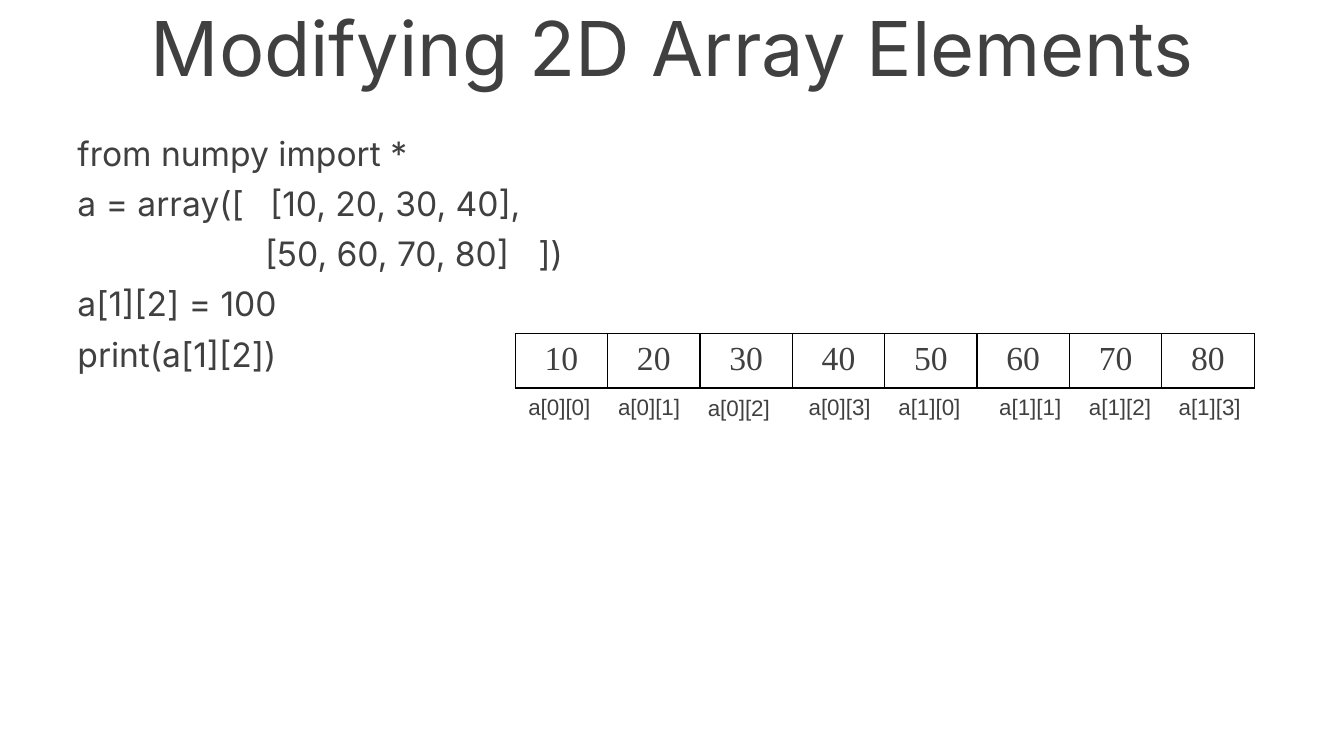
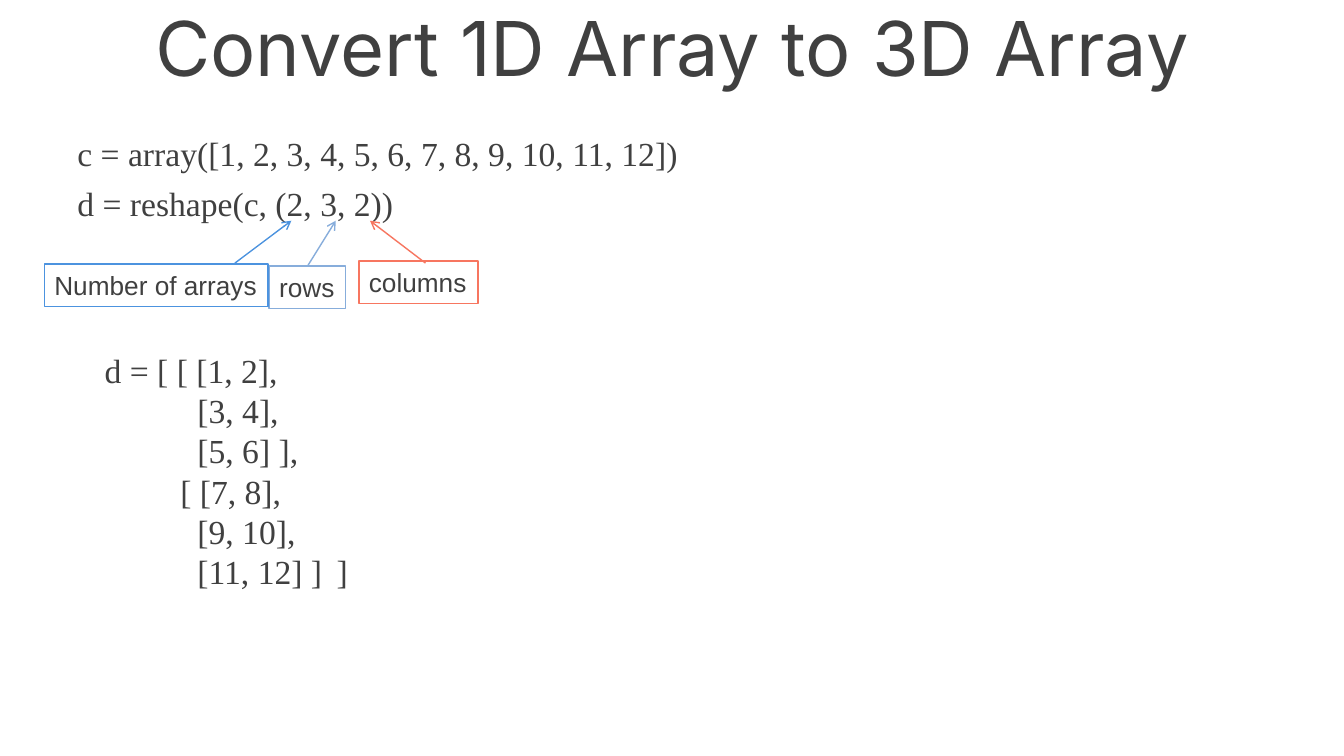
from dataclasses import dataclass

from lxml import etree
from pptx import Presentation
from pptx.dml.color import RGBColor
from pptx.enum.shapes import MSO_CONNECTOR, MSO_SHAPE
from pptx.enum.text import MSO_ANCHOR, MSO_AUTO_SIZE, PP_ALIGN
from pptx.oxml.ns import qn
from pptx.util import Inches, Pt

STRAIGHT = MSO_CONNECTOR.STRAIGHT
RECTANGLE = MSO_SHAPE.RECTANGLE
TOP = MSO_ANCHOR.TOP
FIT_SHAPE = MSO_AUTO_SIZE.SHAPE_TO_FIT_TEXT
NO_FIT = MSO_AUTO_SIZE.NONE
LEFT, CENTER = PP_ALIGN.LEFT, PP_ALIGN.CENTER
TOP_SIDE = 0
PLAIN_TABLE_STYLE = "{2D5ABB26-0587-4C30-8999-92F81FD0307C}"


@dataclass(frozen=True)
class Theme:
    """Colours, fonts and type sizes shared by the slides."""
    ink: str = "404040"
    paper: str = "FFFFFF"
    grid: str = "000000"
    arrays: str = "4C93DF"
    rows: str = "87ADDB"
    columns: str = "F77660"
    sans: str = "Inter"
    serif: str = "Times New Roman"
    plain: str = "Arial"
    title_size: float = 54
    code_size: float = 24
    callout_size: float = 18.7
    index_size: float = 16
    line_width: float = 1


THEME = Theme()
SPACED = {"line_spacing": 0.9, "space_before": Pt(10)}


def apply(target, values):
    """Set each named attribute of the target."""
    for name, value in values.items():
        setattr(target, name, value)


def write_lines(frame, lines, font, size, layout):
    """Write (text, tab stops) lines into a text frame."""
    for number, (text, stops) in enumerate(lines):
        paragraph = frame.add_paragraph() if number else frame.paragraphs[0]
        apply(paragraph, layout)
        run = paragraph.add_run()
        run.text = text
        apply(run.font, {"name": font, "size": Pt(size)})
        run.font.color.rgb = RGBColor.from_string(THEME.ink)
        if stops:
            properties = paragraph.line_spacing and paragraph.runs[0].font
            add_tab_stops(run, stops)


def add_tab_stops(run, stops):
    """Give the paragraph that holds the run its tab stops."""
    properties = run.font._element.getparent().getparent().get_or_add_pPr()
    tabs = etree.SubElement(properties, qn("a:tabLst"))
    for stop in stops:
        etree.SubElement(tabs, qn("a:tab"), pos=str(Inches(stop)), algn="l")


def add_text(slide, box, lines, font, size, layout):
    """Add a wrapped text box with top-anchored lines."""
    frame = slide.shapes.add_textbox(*map(Inches, box)).text_frame
    apply(frame, {"word_wrap": True, "auto_size": NO_FIT, "vertical_anchor": TOP})
    write_lines(frame, lines, font, size, layout)


def add_titled_slide(deck, title):
    """Add a blank slide with the shared title."""
    slide = deck.slides.add_slide(deck.slide_layouts[6])
    add_text(slide, (0.67, 0.06, 12, 1.25), [(title, ())], THEME.sans,
             THEME.title_size, {"alignment": CENTER, "line_spacing": 0.9})
    return slide


def add_cells(slide, box, values, font, size, alignment, bordered=False):
    """Add a one-row table with equal columns."""
    graphic = slide.shapes.add_table(1, len(values), *map(Inches, box))
    table = graphic.table
    apply(table, {"first_row": False, "horz_banding": False})
    for style in graphic._element.iter(qn("a:tableStyleId")):
        style.text = PLAIN_TABLE_STYLE
    for cell, value in zip(table.rows[0].cells, values):
        apply(cell, {"margin_left": Inches(0.13), "margin_right": Inches(0.13),
                     "margin_top": Inches(0.07), "margin_bottom": Inches(0.07),
                     "vertical_anchor": TOP})
        cell.fill.background()
        write_lines(cell.text_frame, [(value, ())], font, size,
                    {"alignment": alignment})
    if bordered:
        for properties in graphic._element.iter(qn("a:tcPr")):
            add_borders(properties)


def add_borders(properties):
    """Draw a line on all four sides of a cell."""
    for position, side in enumerate(("lnL", "lnR", "lnT", "lnB")):
        border = etree.Element(qn(f"a:{side}"), w=str(Pt(THEME.line_width)))
        fill = etree.SubElement(border, qn("a:solidFill"))
        etree.SubElement(fill, qn("a:srgbClr"), val=THEME.grid)
        properties.insert(position, border)


def outline(line, color):
    """Set the colour and width of a line."""
    line.color.rgb = RGBColor.from_string(color)
    line.width = Pt(THEME.line_width)


def add_callout(slide, box, text, color):
    """Add an outlined label."""
    callout = slide.shapes.add_shape(RECTANGLE, *map(Inches, box))
    callout.shadow.inherit = False
    callout.fill.solid()
    callout.fill.fore_color.rgb = RGBColor.from_string(THEME.paper)
    outline(callout.line, color)
    frame = callout.text_frame
    apply(frame, {"word_wrap": False, "auto_size": FIT_SHAPE,
                  "vertical_anchor": TOP})
    write_lines(frame, [(text, ())], THEME.plain, THEME.callout_size,
                {"alignment": LEFT})
    return callout


def add_arrow(slide, start, end, color):
    """Add a straight arrow from start to end."""
    arrow = slide.shapes.add_connector(STRAIGHT, *map(Inches, start + end))
    outline(arrow.line, color)
    etree.SubElement(arrow.line._get_or_add_ln(), qn("a:tailEnd"), type="arrow")
    etree.SubElement(arrow._element.spPr, qn("a:effectLst"))
    return arrow


def build_modifying(deck):
    """Show a 2D array with the index of each element."""
    slide = add_titled_slide(deck, "Modifying 2D Array Elements")
    code = [("from numpy import *", ()),
            ("a = array([\t[10, 20, 30, 40],", (1.91,)),
            ("\t[50, 60, 70, 80]\t])", (1.86, 4.57)),
            ("a[1][2] = 100", ()),
            ("print(a[1][2])", ())]
    add_text(slide, (0.67, 1.31, 8.78, 5.67), code, THEME.sans,
             THEME.code_size, SPACED)
    elements = [str(value) for value in range(10, 90, 10)]
    add_cells(slide, (5.11, 3.31, 7.33, 0.54), elements, THEME.serif,
              THEME.code_size, CENTER, bordered=True)
    index_lefts = (5.11, 6, 6.89, 7.89, 8.78, 9.78, 10.67, 11.56)
    for position, left in enumerate(index_lefts):
        row, column = divmod(position, 4)
        top = 3.86 if position == 2 else 3.85
        add_cells(slide, (left, top, 0.89, 0.54), [f"a[{row}][{column}]"],
                  THEME.plain, THEME.index_size, LEFT)


def build_reshape(deck):
    """Show how a 1D array is reshaped into a 3D array."""
    slide = add_titled_slide(deck, "Convert 1D Array to 3D Array")
    code = [("c = array([1, 2, 3, 4, 5, 6, 7, 8, 9, 10, 11, 12])", ()),
            ("d = reshape(c, (2, 3, 2))", ())]
    add_text(slide, (0.67, 1.31, 12, 5.89), code, THEME.serif,
             THEME.code_size, SPACED)
    rows = add_callout(slide, (2.67, 2.64, 0.76, 0.42), "rows", THEME.rows)
    add_callout(slide, (3.56, 2.59, 1.18, 0.42), "columns", THEME.columns)
    add_callout(slide, (0.44, 2.62, 2.22, 0.42), "Number of arrays", THEME.arrays)
    rows_arrow = add_arrow(slide, (3.05, 2.64), (3.33, 2.19), THEME.rows)
    rows_arrow.begin_connect(rows, TOP_SIDE)
    add_arrow(slide, (4.22, 2.61), (3.67, 2.19), THEME.columns)
    add_arrow(slide, (2.33, 2.61), (2.89, 2.19), THEME.arrays)
    inner, outer = 0.92, 0.75
    result = [("d = [ [ [1, 2],", ()),
              ("\t[3, 4],", (inner,)),
              ("\t[5, 6] ],", (inner,)),
              ("\t[ [7, 8],", (outer,)),
              ("\t[9, 10],", (inner,)),
              ("\t[11, 12] ]\t]", (inner, 2.3))]
    add_text(slide, (0.94, 3.42, 2.73, 2.52), result, THEME.serif,
             THEME.code_size, {"alignment": LEFT})


def main():
    """Build and save the deck."""
    deck = Presentation()
    apply(deck, {"slide_width": Inches(13.33), "slide_height": Inches(7.5)})
    build_modifying(deck)
    build_reshape(deck)
    deck.save("out.pptx")


if __name__ == "__main__":
    main()
